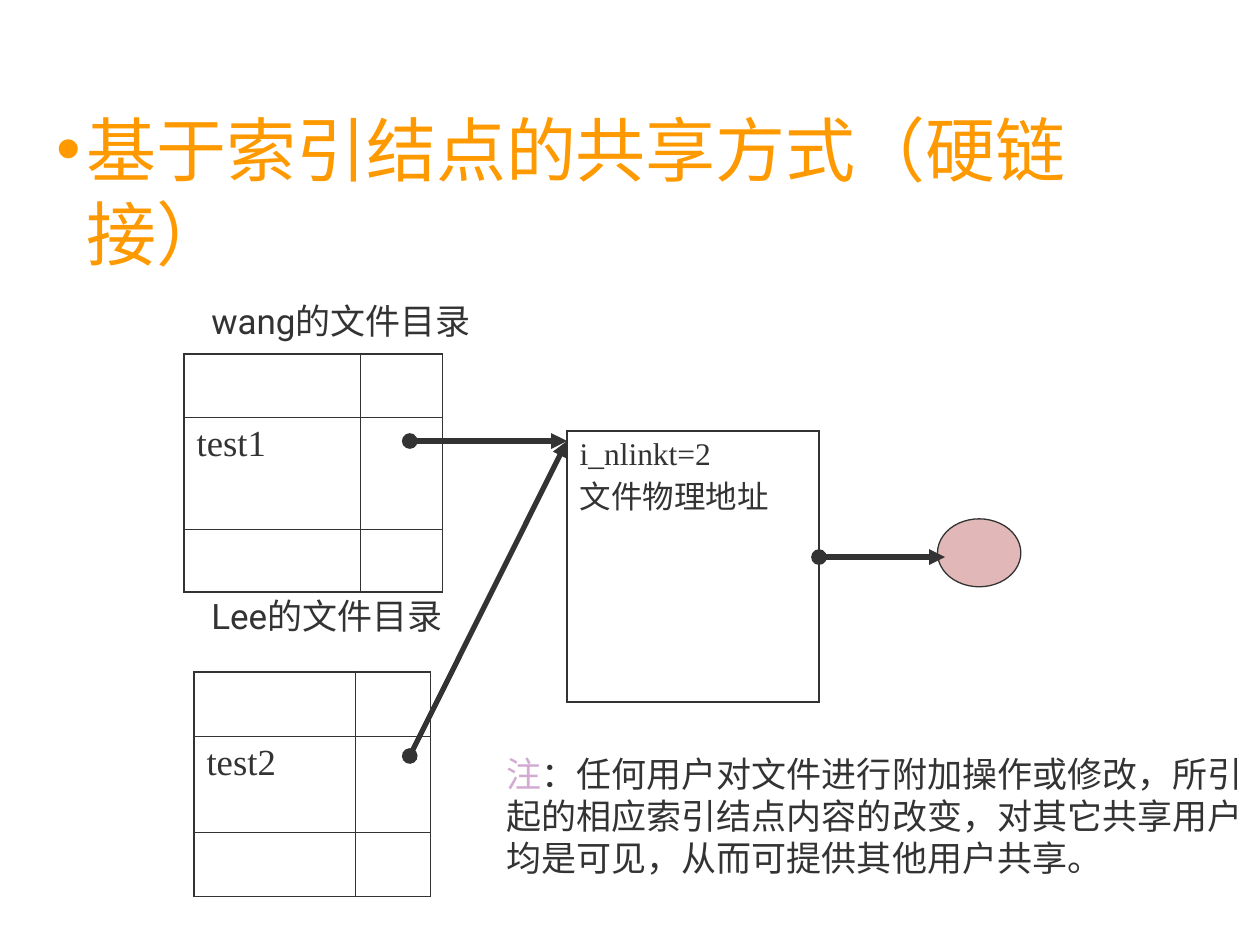
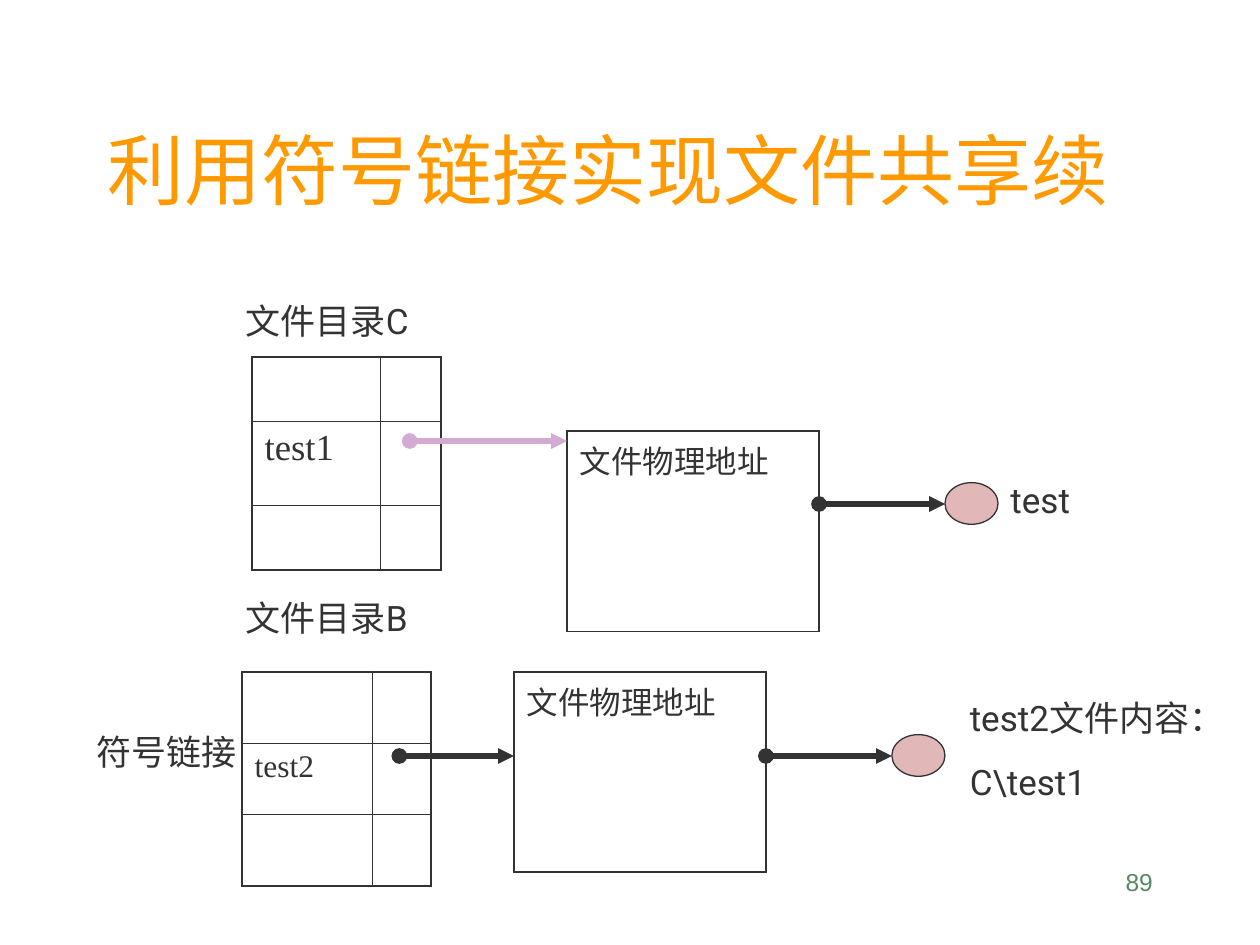
from dataclasses import dataclass

from lxml import etree
from pptx import Presentation
from pptx.dml.color import RGBColor
from pptx.enum.shapes import MSO_CONNECTOR, MSO_SHAPE
from pptx.enum.text import MSO_ANCHOR, MSO_AUTO_SIZE, PP_ALIGN
from pptx.oxml.ns import qn
from pptx.util import Cm, Pt

STRAIGHT = MSO_CONNECTOR.STRAIGHT
OVAL = MSO_SHAPE.OVAL
BOTTOM = MSO_ANCHOR.BOTTOM
NO_FIT = MSO_AUTO_SIZE.NONE
LEFT, RIGHT = PP_ALIGN.LEFT, PP_ALIGN.RIGHT

COLORS = {
    "title": "FF9900",
    "ink": "333333",
    "accent": "D2AAD2",
    "file": "E1B7B7",
    "number": "578963",
}
SERIF, SANS, NUMBER_FONT = "Times New Roman", "Roboto", "Arial"
OUTER, INNER = 1.08, 0.45
TITLE_ONLY = 5


@dataclass
class Title:
    text: str
    box: tuple[float, float, float, float]
    size: int
    bullet: bool = False


@dataclass
class Grid:
    left: float
    top: float
    cols: tuple[float, ...]
    rows: tuple[float, ...]
    text: str
    row: int = 1
    size: int = 21


@dataclass
class Label:
    text: str
    left: float
    top: float
    width: float
    height: float = 1.12
    size: int = 20
    font: str = SANS
    color: str = "ink"
    align: PP_ALIGN = LEFT
    before: float = 12.5


@dataclass
class Arrow:
    x1: float
    y1: float
    x2: float
    y2: float
    color: str = "ink"


@dataclass
class File:
    left: float
    top: float
    width: float = 1.07
    height: float = 0.84


def rgb(name: str) -> RGBColor:
    return RGBColor.from_string(COLORS[name])


def style(p, size: int, font: str, color: str) -> None:
    for r in p.runs:
        r.font.size = Pt(size)
        r.font.name = font
        r.font.color.rgb = rgb(color)


def add_slide(prs, title: Title):
    s = prs.slides.add_slide(prs.slide_layouts[TITLE_ONLY])
    sp = s.shapes.title
    sp.left, sp.top, sp.width, sp.height = map(Cm, title.box)
    tf = sp.text_frame
    tf.text = title.text
    tf.word_wrap = True
    tf.auto_size = NO_FIT
    tf.vertical_anchor = BOTTOM
    p = tf.paragraphs[0]
    p.alignment = LEFT
    style(p, title.size, SERIF, "title")
    if title.bullet:
        pPr = p._p.get_or_add_pPr()
        pPr.set("marL", str(Cm(0.6)))
        pPr.set("indent", str(Cm(-0.6)))
        color = etree.SubElement(pPr, qn("a:buClr"))
        etree.SubElement(color, qn("a:srgbClr"), val=COLORS["title"])
        etree.SubElement(pPr, qn("a:buFont"), typeface="Arial")
        etree.SubElement(pPr, qn("a:buChar"), char="•")
    return s


def draw_border(tcPr, side: str, width: float) -> None:
    ln = etree.SubElement(tcPr, qn(f"a:{side}"), w=str(Pt(width)))
    fill = etree.SubElement(ln, qn("a:solidFill"))
    etree.SubElement(fill, qn("a:srgbClr"), val=COLORS["ink"])


def draw_grid(s, grid: Grid) -> None:
    n_rows, n_cols = len(grid.rows), len(grid.cols)
    table = s.shapes.add_table(
        n_rows, n_cols, Cm(grid.left), Cm(grid.top),
        Cm(sum(grid.cols)), Cm(sum(grid.rows))).table
    table.first_row = table.horz_banding = False
    for col, width in zip(table.columns, grid.cols):
        col.width = Cm(width)
    for row, height in zip(table.rows, grid.rows):
        row.height = Cm(height)
    for i in range(n_rows):
        for j in range(n_cols):
            cell = table.cell(i, j)
            edges = {"lnL": j == 0, "lnR": j == n_cols - 1,
                     "lnT": i == 0, "lnB": i == n_rows - 1}
            tcPr = cell._tc.get_or_add_tcPr()
            for side, is_outer in edges.items():
                draw_border(tcPr, side, OUTER if is_outer else INNER)
            cell.fill.background()
    tf = table.cell(grid.row, 0).text_frame
    tf.text = grid.text
    for p in tf.paragraphs:
        style(p, grid.size, SERIF, "ink")


def node(left: float, top: float, height: float, text: str) -> Grid:
    return Grid(left, top, (5.08,), (height,), text, row=0, size=18)


def draw_label(s, label: Label):
    sp = s.shapes.add_textbox(Cm(label.left), Cm(label.top),
                              Cm(label.width), Cm(label.height))
    tf = sp.text_frame
    tf.word_wrap = True
    tf.text = label.text
    for p in tf.paragraphs:
        p.alignment = label.align
        p.space_before = Pt(label.before)
        style(p, label.size, label.font, label.color)
    return tf


def draw_arrow(s, arrow: Arrow) -> None:
    line = s.shapes.add_connector(STRAIGHT, Cm(arrow.x1), Cm(arrow.y1),
                                  Cm(arrow.x2), Cm(arrow.y2))
    line.line.color.rgb = rgb(arrow.color)
    line.line.width = Pt(3)
    ln = line.line._get_or_add_ln()
    etree.SubElement(ln, qn("a:headEnd"), type="oval")
    etree.SubElement(ln, qn("a:tailEnd"), type="triangle")
    etree.SubElement(line._element.spPr, qn("a:effectLst"))


def draw_file(s, file: File) -> None:
    sp = s.shapes.add_shape(OVAL, Cm(file.left), Cm(file.top),
                            Cm(file.width), Cm(file.height))
    sp.shadow.inherit = False
    sp.fill.solid()
    sp.fill.fore_color.rgb = rgb("file")
    sp.line.color.rgb = rgb("ink")
    sp.line.width = Pt(0.75)


DRAW = {Grid: draw_grid, Label: draw_label, Arrow: draw_arrow, File: draw_file}


def draw_all(s, items: list) -> None:
    for item in items:
        DRAW[type(item)](s, item)


def hard_link_slide(prs) -> None:
    s = add_slide(prs, Title("基于索引结点的共享方式（硬链接）",
                             (0.89, 3.53, 22.78, 2.13), 40, bullet=True))
    draw_all(s, [
        Grid(3.71, 7.14, (3.56, 1.65), (1.27, 2.26, 1.27), "test1"),
        Label("wang的文件目录", 4.01, 5.92, 6.15),
        Label("Lee的文件目录", 4.01, 11.86, 6.15),
        Grid(3.91, 13.54, (3.25, 1.52), (1.3, 1.93, 1.3), "test2"),
        node(11.43, 8.69, 5.46, "i_nlinkt=2\n文件物理地址"),
        File(18.9, 10.46, 1.68, 1.37),
        Arrow(8.26, 8.89, 11.43, 8.89),
        Arrow(8.26, 15.24, 11.43, 8.89),
        Arrow(16.51, 11.23, 19.05, 11.23),
    ])
    tf = draw_label(s, Label("注", 9.96, 15.04, 15.44, 2.79))
    p = tf.paragraphs[0]
    r = p.add_run()
    r.text = ("：任何用户对文件进行附加操作或修改，所引起的相应索引结点内容的改变，"
              "对其它共享用户均是可见，从而可提供其他用户共享。")
    style(p, 20, SANS, "ink")
    p.runs[0].font.color.rgb = rgb("accent")


def symbolic_link_slide(prs) -> None:
    s = add_slide(prs, Title("利用符号链接实现文件共享续",
                             (1.91, 1.27, 21.59, 3.18), 44))
    draw_all(s, [
        Grid(5.08, 7.19, (2.59, 1.22), (1.3, 1.7, 1.3), "test1"),
        Label("文件目录C", 4.7, 5.92, 5.21),
        Label("文件目录B", 4.7, 11.91, 5.08),
        Grid(4.88, 13.54, (2.62, 1.19), (1.44,) * 3, "test2", size=18),
        node(11.43, 8.69, 4.04, "文件物理地址"),
        Arrow(8.26, 8.89, 11.43, 8.89, "accent"),
        File(19.05, 9.73),
        Label("test", 20.12, 9.53, 2.11),
        Arrow(16.51, 10.16, 19.05, 10.16),
        File(17.98, 14.81),
        Arrow(15.44, 15.24, 17.98, 15.24),
        Label("test2文件内容：\nC\\test1", 19.3, 13.92, 5.46, 2.39),
        node(10.36, 13.54, 4.04, "文件物理地址"),
        Arrow(8.05, 15.24, 10.36, 15.24),
        Label("符号链接", 1.7, 14.61, 3.38),
        Label("89", 18.21, 17.35, 5.28, 1.27, 14, NUMBER_FONT, "number",
              RIGHT, 8.8),
    ])


def main() -> None:
    prs = Presentation()
    prs.slide_width, prs.slide_height = Cm(25.4), Cm(19.05)
    hard_link_slide(prs)
    symbolic_link_slide(prs)
    prs.save("out.pptx")


if __name__ == "__main__":
    main()
